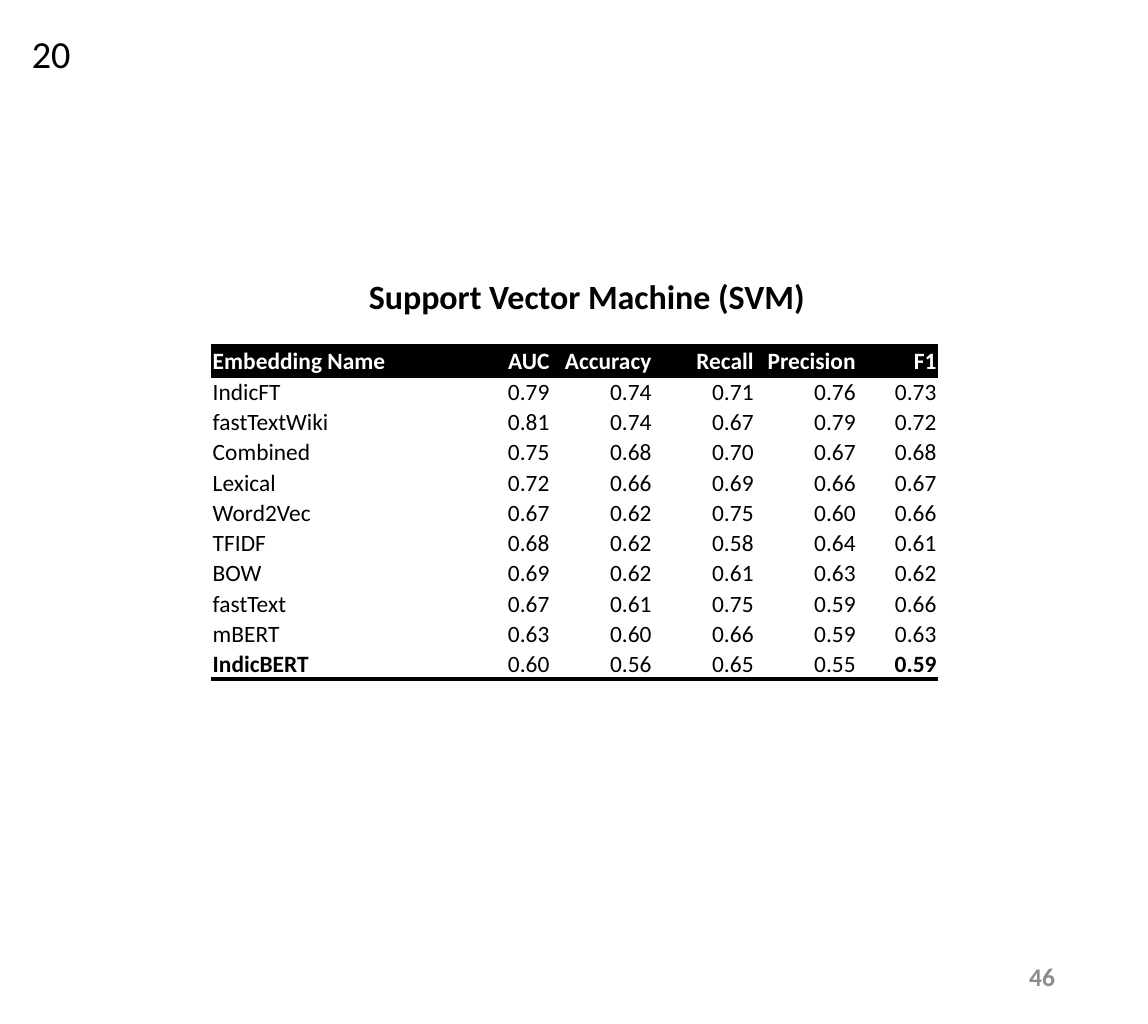
from dataclasses import dataclass

from lxml import etree
from pptx import Presentation
from pptx import util as u
from pptx.dml.color import RGBColor
from pptx.enum import text
from pptx.oxml import ns


@dataclass(frozen=True)
class Theme:
    font: str = "Calibri"
    ink: str = "000000"
    paper: str = "FFFFFF"
    muted: str = "8C8C8C"
    title_size: int = 16
    table_size: int = 11
    page_size: int = 12
    label_size: int = 18
    rule_width: int = 2


THEME = Theme()
SLIDE_WIDTH, SLIDE_HEIGHT = u.Inches(7.5), u.Inches(6.69)
GRID_COLUMNS, GRID_ROWS = 750, 669
PLAIN_TABLE_STYLE = "{2D5ABB26-0587-4C30-8999-92F81FD0307C}"
LEFT, CENTER, RIGHT = text.PP_ALIGN.LEFT, text.PP_ALIGN.CENTER, text.PP_ALIGN.RIGHT
TOP, MIDDLE, BOTTOM = text.MSO_ANCHOR.TOP, text.MSO_ANCHOR.MIDDLE, text.MSO_ANCHOR.BOTTOM

COLUMN_SHARES = [156, 67, 67, 67, 67, 53]
HEADER = ["Embedding Name", "AUC", "Accuracy", "Recall", "Precision", "F1"]
SCORES = [
    ["IndicFT", 0.79, 0.74, 0.71, 0.76, 0.73],
    ["fastTextWiki", 0.81, 0.74, 0.67, 0.79, 0.72],
    ["Combined", 0.75, 0.68, 0.70, 0.67, 0.68],
    ["Lexical", 0.72, 0.66, 0.69, 0.66, 0.67],
    ["Word2Vec", 0.67, 0.62, 0.75, 0.60, 0.66],
    ["TFIDF", 0.68, 0.62, 0.58, 0.64, 0.61],
    ["BOW", 0.69, 0.62, 0.61, 0.63, 0.62],
    ["fastText", 0.67, 0.61, 0.75, 0.59, 0.66],
    ["mBERT", 0.63, 0.60, 0.66, 0.59, 0.63],
    ["IndicBERT", 0.60, 0.56, 0.65, 0.55, 0.59],
]


def grid_box(column, row, columns, rows):
    """Turn grid cells into left, top, width and height."""
    across, down = SLIDE_WIDTH / GRID_COLUMNS, SLIDE_HEIGHT / GRID_ROWS
    return [int(n) for n in (column * across, row * down, columns * across, rows * down)]


def write(text_frame, words, size, color, align=LEFT, bold=False):
    text_frame.text = words
    paragraph = text_frame.paragraphs[0]
    paragraph.alignment = align
    font = paragraph.runs[0].font
    font.name, font.size, font.bold = THEME.font, u.Pt(size), bold
    font.color.rgb = RGBColor.from_string(color)


def add_title(slide, box, words):
    title = slide.shapes.title
    title.left, title.top, title.width, title.height = box
    title.text_frame.vertical_anchor = TOP
    title.text_frame.auto_size = text.MSO_AUTO_SIZE.NONE
    write(title.text_frame, words, THEME.title_size, THEME.ink, CENTER, True)


def add_label(slide, box, words, size, color, wrap=True, anchor=TOP, **style):
    text_frame = slide.shapes.add_textbox(*box).text_frame
    text_frame.word_wrap = wrap
    text_frame.vertical_anchor = anchor
    write(text_frame, words, size, color, **style)


def add_rules(cell, sides):
    """Draw horizontal cell borders; sides run from top to bottom."""
    properties = cell._tc.get_or_add_tcPr()
    for position, side in enumerate(sides):
        line = etree.Element(ns.qn(f"a:ln{side}"), w=str(u.Pt(THEME.rule_width)))
        fill = etree.SubElement(line, ns.qn("a:solidFill"))
        etree.SubElement(fill, ns.qn("a:srgbClr"), val=THEME.ink)
        properties.insert(position, line)


def format_cell(cell, words, fill, color, align, bold):
    cell.margin_left = cell.margin_right = cell.margin_top = u.Inches(0.01)
    cell.margin_bottom = 0
    cell.vertical_anchor = BOTTOM
    cell.fill.solid()
    cell.fill.fore_color.rgb = RGBColor.from_string(fill)
    write(cell.text_frame, words, THEME.table_size, color, align, bold)


def add_score_table(slide, box):
    rows = [HEADER] + SCORES
    last_row, last_column = len(rows) - 1, len(HEADER) - 1
    table = slide.shapes.add_table(len(rows), len(HEADER), *box).table
    table.first_row = table.horz_banding = False
    table._tbl.tblPr.find(ns.qn("a:tableStyleId")).text = PLAIN_TABLE_STYLE
    for column, share in zip(table.columns, COLUMN_SHARES):
        column.width = int(box[2] * share / sum(COLUMN_SHARES))

    for r, row in enumerate(rows):
        table.rows[r].height = int(box[3] / len(rows))
        header = r == 0
        fill, color = (THEME.ink, THEME.paper) if header else (THEME.paper, THEME.ink)
        for c, value in enumerate(row):
            words = value if isinstance(value, str) else f"{value:.2f}"
            bold = header or (r == last_row and c in (0, last_column))
            cell = table.cell(r, c)
            format_cell(cell, words, fill, color, RIGHT if c else LEFT, bold)
            if header:
                add_rules(cell, "TB")
            elif r == last_row:
                add_rules(cell, "B")


def build_score_slide(presentation):
    slide = presentation.slides.add_slide(presentation.slide_layouts[5])
    add_title(slide, grid_box(178, 175, 411, 37), "Support Vector Machine (SVM)")
    add_label(slide, grid_box(530, 620, 169, 36), "46", THEME.page_size, THEME.muted,
              anchor=MIDDLE, align=RIGHT, bold=True)
    add_label(slide, grid_box(11, 15, 46, 40), "20", THEME.label_size, THEME.ink, wrap=False)
    add_score_table(slide, grid_box(138, 226, 475, 218))


def main():
    presentation = Presentation()
    presentation.slide_width, presentation.slide_height = SLIDE_WIDTH, SLIDE_HEIGHT
    build_score_slide(presentation)
    presentation.save("out.pptx")


if __name__ == "__main__":
    main()
